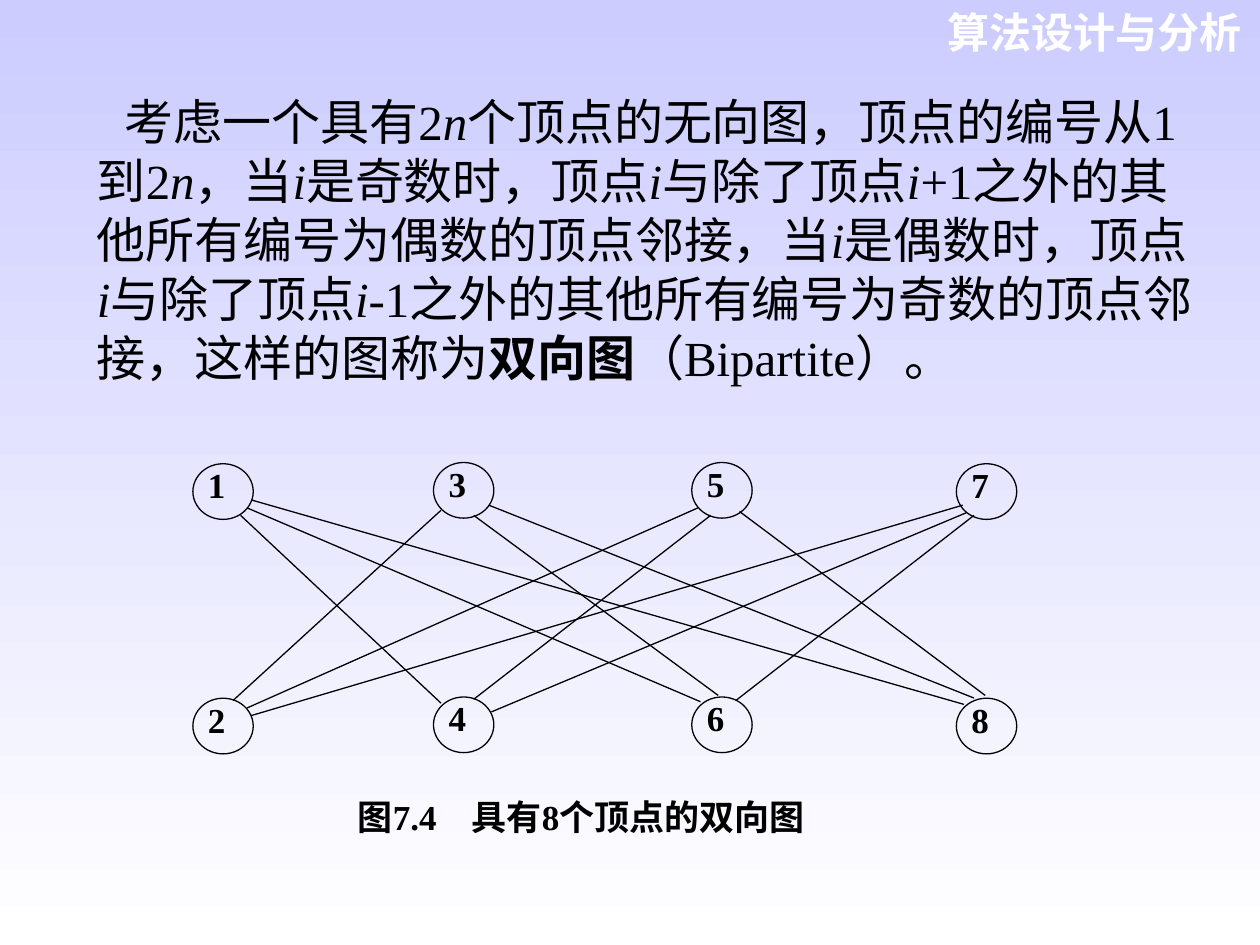
from lxml import etree
from pptx import Presentation
from pptx.dml.color import RGBColor
from pptx.enum.shapes import MSO_CONNECTOR, MSO_SHAPE
from pptx.enum.text import MSO_ANCHOR, PP_ALIGN
from pptx.oxml.ns import qn
from pptx.util import Pt

LINE = MSO_CONNECTOR.STRAIGHT
OVAL = MSO_SHAPE.OVAL
TOP = MSO_ANCHOR.TOP
RIGHT = PP_ALIGN.RIGHT
LEFT = PP_ALIGN.LEFT
FULL = PP_ALIGN.JUSTIFY
BLACK = RGBColor(0x00, 0x00, 0x00)
WHITE = RGBColor(0xFF, 0xFF, 0xFF)
LILAC = RGBColor(0xCC, 0xCC, 0xFF)
SERIF = "Times New Roman"
SANS = "Noto Sans CJK SC"


def style(run, size, name, color=BLACK, bold=False):
    font = run.font
    font.size = Pt(size)
    font.name = name
    font.bold = bold
    font.color.rgb = color
    etree.SubElement(run._r.get_or_add_rPr(), qn("a:ea")).set("typeface", SANS)


def setup(shape, insets, align):
    frame = shape.text_frame
    frame.word_wrap = True
    frame.vertical_anchor = TOP
    left, top, right, bottom = insets
    frame.margin_left, frame.margin_top = Pt(left), Pt(top)
    frame.margin_right, frame.margin_bottom = Pt(right), Pt(bottom)
    para = frame.paragraphs[0]
    para.alignment = align
    return para


deck = Presentation()
deck.slide_width, deck.slide_height = Pt(720), Pt(540)
slide = deck.slides.add_slide(deck.slide_layouts[6])
shapes = slide.shapes

fill = slide.background.fill
fill.gradient()
fill.gradient_angle = 270
for stop, color, place in zip(fill.gradient_stops, (LILAC, WHITE), (0, 1)):
    stop.color.rgb = color
    stop.position = place

wide = (7.2, 3.6, 7.2, 3.6)
box = shapes.add_textbox(Pt(521.3), Pt(0), Pt(195), Pt(36))
para = setup(box, wide, RIGHT)
para.text = "算法设计与分析"
style(para.runs[0], 24, "Arial", WHITE, True)

for col, left in enumerate((110.2, 247.7, 395.3, 546.5)):
    for row in range(2):
        top = (265 if col in (0, 3) else 264.3) + row * 134
        node = shapes.add_shape(OVAL, Pt(left), Pt(top), Pt(34.5), Pt(31.8))
        node.shadow.inherit = False
        node.fill.background()
        node.line.color.rgb = BLACK
        node.line.width = Pt(0.75)
        para = setup(node, (3.6, 0, 0, 0), FULL)
        para.text = str(2 * col + row + 1)
        para.line_spacing = 0.8
        style(para.runs[0], 20, SERIF, BLACK, True)

edges = [
    (137.5, 294.5, 252, 401.8),
    (141.1, 290.2, 400.3, 401),
    (144, 285.8, 550.8, 402.5),
    (252, 291.6, 133.2, 400.3),
    (270.7, 294.5, 410.4, 397.4),
    (279.4, 288.7, 556.6, 398.9),
    (141.1, 404.6, 398.9, 290.2),
    (143.3, 409, 550.1, 288.7),
    (406.1, 294.5, 270.7, 399.6),
    (422.6, 292.3, 563, 397.4),
    (556.6, 294.5, 420.5, 400.3),
    (552.2, 293, 280.8, 406.8),
]
for ends in edges:
    edge = shapes.add_connector(LINE, *map(Pt, ends))
    edge.line.color.rgb = BLACK
    edge.line.width = Pt(0.75)
    etree.SubElement(edge._element.spPr, qn("a:effectLst"))

box = shapes.add_textbox(Pt(204.5), Pt(454.3), Pt(281.5), Pt(28))
para = setup(box, (0, 0, 0, 0), FULL)
tabs = etree.SubElement(para._p.get_or_add_pPr(), qn("a:tabLst"))
etree.SubElement(tabs, qn("a:tab"), pos=str(Pt(65)), algn="l")
para.text = "图7.4\t具有8个顶点的双向图"
style(para.runs[0], 20, SERIF, BLACK, True)

body = (
    "考虑一个具有|2|n|个顶点的无向图，顶点的编号从|1|到|2|n|，当|i|"
    "是奇数时，顶点|i|与除了顶点|i|+1|之外的其他所有编号为偶数的顶点邻接，当|i|"
    "是偶数时，顶点|i|与除了顶点|i|-1|之外的其他所有编号为奇数的顶点邻接，"
    "这样的图称为|双向图|（|Bipartite|）。"
)
box = shapes.add_textbox(Pt(48.3), Pt(49), Pt(640.8), Pt(175.7))
para = setup(box, wide, LEFT)
para.line_spacing = Pt(33.6)
para._p.get_or_add_pPr().set("indent", str(Pt(16)))
for part in body.split("|"):
    run = para.add_run()
    run.text = part
    style(run, 28, SERIF if part.isascii() else SANS, BLACK, part == "双向图")
    run.font.italic = part in ("i", "n")

deck.save("out.pptx")
